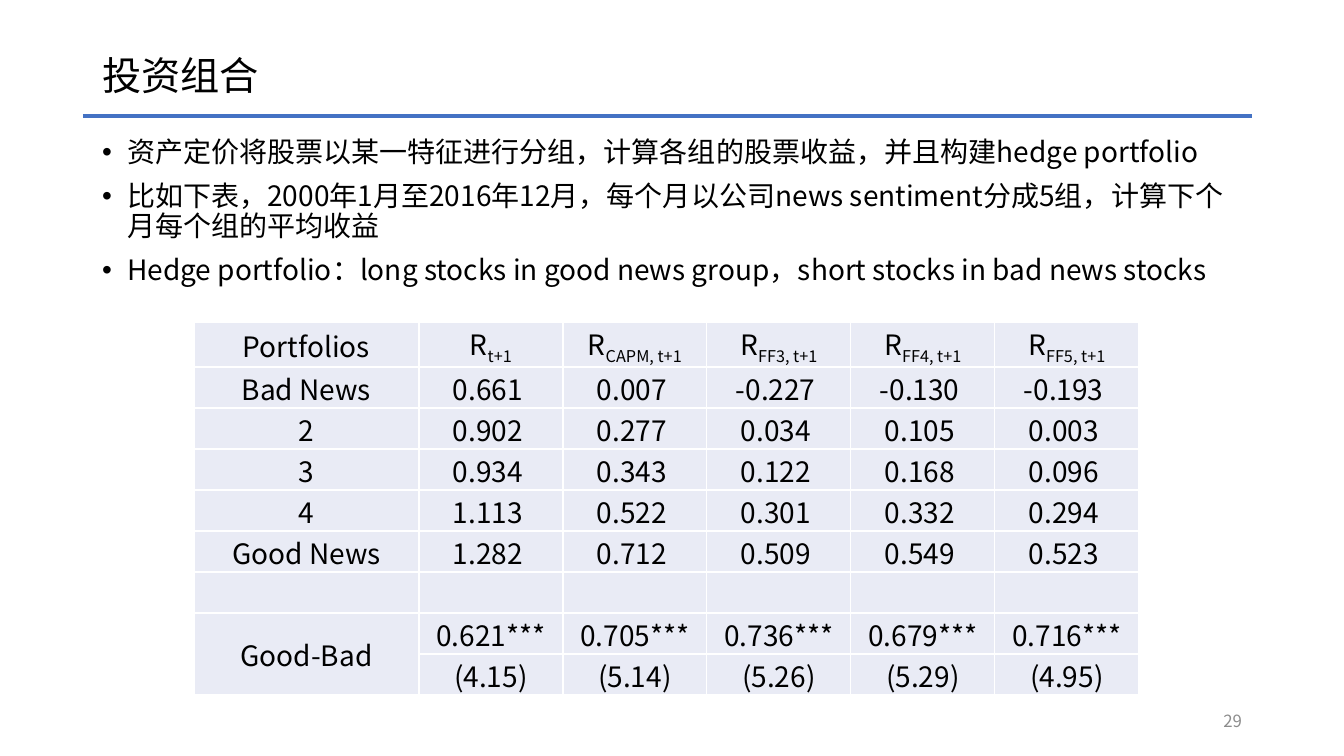
from dataclasses import dataclass

import pptx
import pptx.dml.color
import pptx.enum.shapes
import pptx.enum.text
import pptx.oxml
import pptx.oxml.ns
import pptx.util

PX_PER_INCH = 100.8
FONT = "Noto Sans CJK SC"
BLACK, GREY, BLUE, WHITE, PALE = "000000", "8C8C8C", "4472C4", "FFFFFF", "E9EBF5"
ALIGN = pptx.enum.text.PP_ALIGN
ANCHOR = pptx.enum.text.MSO_ANCHOR
NAMESPACE = pptx.oxml.ns.nsdecls("a")


@dataclass
class Box:
    left: int
    top: int
    width: int
    height: int


@dataclass
class PortfolioRow:
    label: str
    values: list[str]


POINTS = [
    "资产定价将股票以某一特征进行分组，计算各组的股票收益，并且构建hedge portfolio",
    "比如下表，2000年1月至2016年12月，每个月以公司news sentiment分成5组，计算下个月每个组的平均收益",
    "Hedge portfolio：long stocks in good news group，short stocks in bad news stocks",
]
RETURN_SUBSCRIPTS = ["t+1", "CAPM, t+1", "FF3, t+1", "FF4, t+1", "FF5, t+1"]
ROWS = [
    PortfolioRow("Bad News", ["0.661 ", "0.007 ", "-0.227 ", "-0.130 ", "-0.193 "]),
    PortfolioRow("2", ["0.902 ", "0.277 ", "0.034 ", "0.105 ", "0.003 "]),
    PortfolioRow("3", ["0.934 ", "0.343 ", "0.122 ", "0.168 ", "0.096 "]),
    PortfolioRow("4", ["1.113 ", "0.522 ", "0.301 ", "0.332 ", "0.294 "]),
    PortfolioRow("Good News", ["1.282 ", "0.712 ", "0.509 ", "0.549 ", "0.523 "]),
    PortfolioRow("", [""] * 5),
    PortfolioRow("Good-Bad", ["0.621***", "0.705***", "0.736***", "0.679***", "0.716***"]),
    PortfolioRow("", ["(4.15)", "(5.14)", "(5.26)", "(5.29)", "(4.95)"]),
]

LABEL_WIDTH, VALUE_WIDTH = 225, 144
HEADER_HEIGHT, ROW_HEIGHT = 45, 41
TITLE_BOX = Box(92, 40, 1160, 75)
BODY_BOX = Box(92, 133, 1160, 548)
NUMBER_BOX = Box(950, 701, 302, 40)
TABLE_BOX = Box(194, 322, LABEL_WIDTH + len(RETURN_SUBSCRIPTS) * VALUE_WIDTH,
                HEADER_HEIGHT + len(ROWS) * ROW_HEIGHT)


def px(length: int) -> pptx.util.Emu:
    return pptx.util.Emu(round(length * 914400 / PX_PER_INCH))


def rgb(colour: str) -> pptx.dml.color.RGBColor:
    return pptx.dml.color.RGBColor.from_string(colour)


def place(shape, box: Box) -> None:
    shape.left, shape.top = px(box.left), px(box.top)
    shape.width, shape.height = px(box.width), px(box.height)


def format_runs(paragraph, size: int, colour: str = BLACK) -> None:
    """Set size, colour and both the Latin and East Asian typeface."""
    for run in paragraph.runs:
        run.font.size = pptx.util.Pt(size)
        run.font.color.rgb = rgb(colour)
        run.font.name = FONT
        east_asian = pptx.oxml.parse_xml(f'<a:ea {NAMESPACE} typeface="{FONT}"/>')
        run._r.get_or_add_rPr().append(east_asian)


def add_title(slide) -> None:
    title = slide.shapes.title
    place(title, TITLE_BOX)
    frame = title.text_frame
    frame.text = "投资组合"
    frame.auto_size = pptx.enum.text.MSO_AUTO_SIZE.NONE
    frame.vertical_anchor = ANCHOR.MIDDLE
    paragraph = frame.paragraphs[0]
    paragraph.alignment = ALIGN.LEFT
    paragraph.line_spacing = 0.9
    format_runs(paragraph, 28)


def add_points(slide) -> None:
    body = slide.placeholders[1]
    place(body, BODY_BOX)
    frame = body.text_frame
    frame.text = "\n".join(POINTS)
    frame.auto_size = pptx.enum.text.MSO_AUTO_SIZE.NONE
    frame.vertical_anchor = ANCHOR.TOP
    for index, paragraph in enumerate(frame.paragraphs):
        properties = paragraph._p.get_or_add_pPr()
        properties.set("marL", str(px(25)))
        properties.set("indent", str(-px(25)))
        properties.append(pptx.oxml.parse_xml(f'<a:buFont {NAMESPACE} typeface="Arial"/>'))
        properties.append(pptx.oxml.parse_xml(f'<a:buChar {NAMESPACE} char="•"/>'))
        paragraph.line_spacing = 0.9
        paragraph.space_before = pptx.util.Pt(10 if index else 0)
        format_runs(paragraph, 20)


def add_rule(slide) -> None:
    rule = slide.shapes.add_connector(
        pptx.enum.shapes.MSO_CONNECTOR.STRAIGHT, px(83), px(116), px(1252), px(116))
    rule.line.color.rgb = rgb(BLUE)
    rule.line.width = pptx.util.Pt(3)
    rule._element.spPr.append(pptx.oxml.parse_xml(f"<a:effectLst {NAMESPACE}/>"))


def add_slide_number(slide) -> None:
    number = slide.shapes.add_textbox(0, 0, 0, 0)
    place(number, NUMBER_BOX)
    frame = number.text_frame
    frame.word_wrap = True
    frame.text = "29"
    frame.vertical_anchor = ANCHOR.MIDDLE
    frame.paragraphs[0].alignment = ALIGN.RIGHT
    format_runs(frame.paragraphs[0], 12, GREY)


def fill_cell(cell, text: str, subscript: str = "") -> None:
    paragraph = cell.text_frame.paragraphs[0]
    paragraph.text = text
    paragraph.alignment = ALIGN.CENTER
    if subscript:
        run = paragraph.add_run()
        run.text = subscript
        run._r.get_or_add_rPr().set("baseline", "-25000")
    format_runs(paragraph, 20)
    cell.vertical_anchor = ANCHOR.MIDDLE
    cell.margin_left = cell.margin_right = cell.margin_top = px(1)
    cell.margin_bottom = 0
    properties = cell._tc.get_or_add_tcPr()
    for side in "LRTB":
        properties.append(pptx.oxml.parse_xml(
            f'<a:ln{side} {NAMESPACE} w="12700"><a:solidFill>'
            f'<a:srgbClr val="{WHITE}"/></a:solidFill></a:ln{side}>'))
    cell.fill.solid()
    cell.fill.fore_color.rgb = rgb(PALE)


def add_portfolio_table(slide) -> None:
    box = TABLE_BOX
    table = slide.shapes.add_table(
        len(ROWS) + 1, len(RETURN_SUBSCRIPTS) + 1,
        px(box.left), px(box.top), px(box.width), px(box.height)).table
    for index, column in enumerate(table.columns):
        column.width = px(VALUE_WIDTH if index else LABEL_WIDTH)
    for index, table_row in enumerate(table.rows):
        table_row.height = px(ROW_HEIGHT if index else HEADER_HEIGHT)

    fill_cell(table.cell(0, 0), "Portfolios")
    for column, subscript in enumerate(RETURN_SUBSCRIPTS, start=1):
        fill_cell(table.cell(0, column), "R", subscript)
    for index, row in enumerate(ROWS, start=1):
        for column, text in enumerate([row.label, *row.values]):
            fill_cell(table.cell(index, column), text)
    last = len(ROWS)
    table.cell(last - 1, 0).merge(table.cell(last, 0))


def main() -> None:
    presentation = pptx.Presentation()
    presentation.slide_width, presentation.slide_height = px(1344), px(756)
    slide = presentation.slides.add_slide(presentation.slide_layouts[1])
    add_title(slide)
    add_points(slide)
    add_rule(slide)
    add_slide_number(slide)
    add_portfolio_table(slide)
    presentation.save("out.pptx")


if __name__ == "__main__":
    main()
